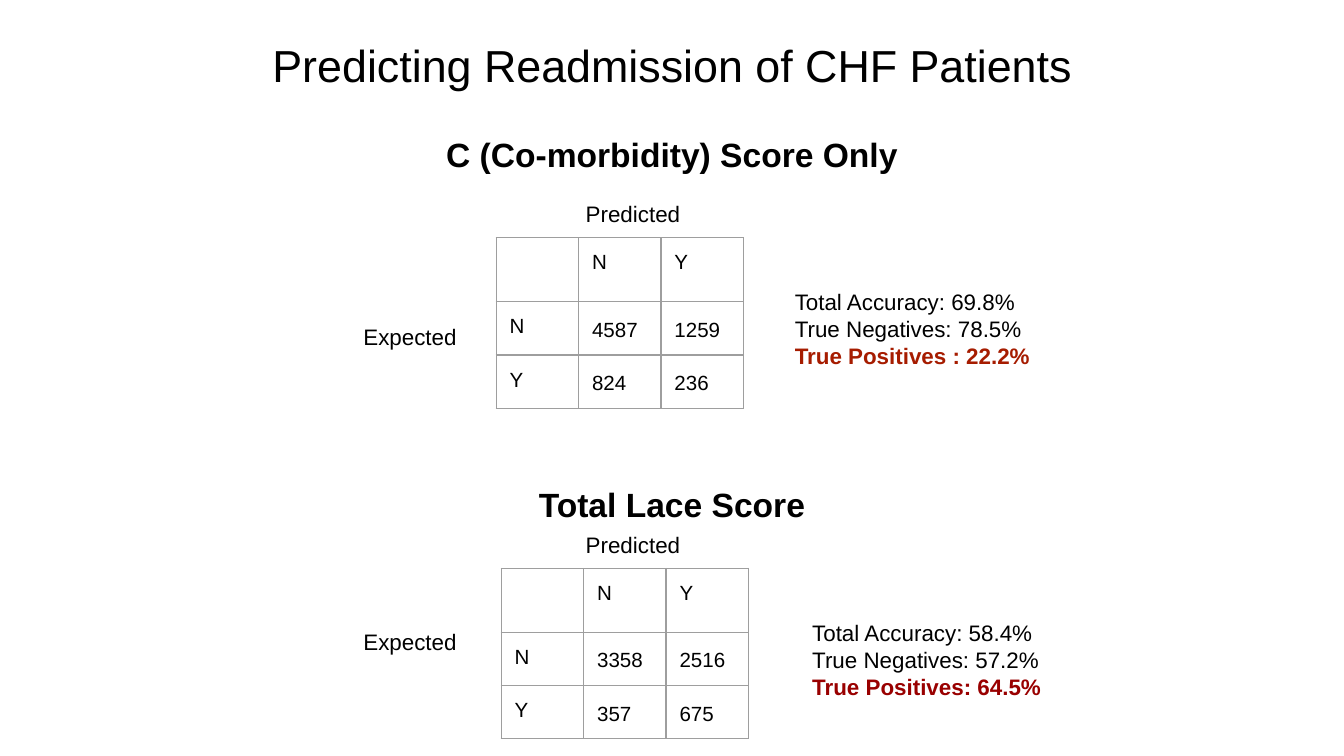
from dataclasses import dataclass

from lxml import etree
from pptx import Presentation
from pptx import util as u
from pptx.dml.color import RGBColor
from pptx.enum import text
from pptx.oxml.ns import qn


@dataclass(frozen=True)
class Theme:
    """Colours, type sizes and insets of the slide."""
    font: str = "Arial"
    ink: str = "000000"
    rule: str = "9E9E9E"
    title: int = 24
    heading: int = 18
    label: int = 12
    cell: int = 11
    inset: float = 0.1


@dataclass(frozen=True)
class Score:
    """One score's results and its places on the grid."""
    heading: str
    counts: tuple
    rates: tuple
    accent: str
    box: tuple
    table_at: tuple
    expected_row: float
    rates_column: float


THEME = Theme()
WIDTH = 10
HEIGHT = WIDTH * 9 / 16
COLUMN = ROW = WIDTH / 100
SCORES = (
    Score("C (Co-morbidity) Score Only", ((4587, 1259), (824, 236)),
          ("Total Accuracy: 69.8%", "True Negatives: 78.5%", "True Positives : 22.2%"),
          "A61C00", (3.4, 9, 93.2, 21.4), (33.52, 8.7), 14.05, 54.75),
    Score("Total Lace Score", ((3358, 2516), (357, 675)),
          ("Total Accuracy: 58.4%", "True Negatives: 57.2%", "True Positives: 64.5%"),
          "990000", (3.4, 35, 93.2, 20), (33.9, 7.3), 10.7, 56.05),
)


def apply(target, values):
    """Set each attribute named in values."""
    for name, value in values.items():
        setattr(target, name, value)


def grid(*cells):
    """Turn grid columns and rows into lengths."""
    return [u.Inches(cell * COLUMN) for cell in cells]


def write(para, words, size, colour=THEME.ink, bold=False):
    """Write one formatted span into a paragraph."""
    span = para.add_run()
    span.text = words
    apply(span.font, {"name": THEME.font, "size": u.Pt(size), "bold": bold})
    span.font.color.rgb = RGBColor.from_string(colour)


def set_margins(target):
    """Give a frame or cell equal insets."""
    sides = ("left", "top", "right", "bottom")
    apply(target, {f"margin_{side}": u.Inches(THEME.inset) for side in sides})


def format_frame(frame):
    """Set the insets, wrapping and anchor of a text frame."""
    set_margins(frame)
    apply(frame, {"word_wrap": True, "auto_size": text.MSO_AUTO_SIZE.NONE,
                  "vertical_anchor": text.MSO_ANCHOR.TOP})


def add_text(page, place, lines, size, align=text.PP_ALIGN.LEFT):
    """Add a text box of (words, format) lines."""
    frame = page.shapes.add_textbox(*grid(*place)).text_frame
    format_frame(frame)
    for index, (words, look) in enumerate(lines):
        para = frame.add_paragraph() if index else frame.paragraphs[0]
        para.alignment = align
        write(para, words, size, **look)


def draw_borders(cell):
    """Rule all four sides of a cell."""
    properties = cell._tc.get_or_add_tcPr()
    for index, side in enumerate(("lnL", "lnR", "lnT", "lnB")):
        line = etree.Element(qn(f"a:{side}"), w=str(u.Pt(0.75)))
        fill = etree.SubElement(line, qn("a:solidFill"))
        etree.SubElement(fill, qn("a:srgbClr"), val=THEME.rule)
        properties.insert(index, line)


def add_matrix(page, left, top, counts):
    """Add a confusion matrix at a grid point."""
    rows = [("", "N", "Y")] + [(name, *values) for name, values in zip("NY", counts)]
    heights = (4.76, 3.95, 3.95)
    table = page.shapes.add_table(3, 3, *grid(left, top, 18.4, sum(heights))).table
    apply(table, {"first_row": False, "horz_banding": False})
    for column in table.columns:
        column.width = u.Inches(6.13 * COLUMN)
    for r, values in enumerate(rows):
        table.rows[r].height = u.Inches(heights[r] * ROW)
        for c, value in enumerate(values):
            cell = table.cell(r, c)
            set_margins(cell)
            cell.fill.background()
            draw_borders(cell)
            para = cell.text_frame.paragraphs[0]
            if r and c:
                para.line_spacing = 1.15
            if value != "":
                write(para, str(value), THEME.cell)
            else:
                etree.SubElement(para._p, qn("a:endParaRPr"), sz=str(THEME.cell * 100))


def add_title(page, box, words):
    """Place and format the title."""
    title = page.shapes.title
    apply(title, dict(zip(("left", "top", "width", "height"), grid(*box))))
    format_frame(title.text_frame)
    para = title.text_frame.paragraphs[0]
    para.alignment = text.PP_ALIGN.CENTER
    write(para, words, THEME.title)


def add_score(page, box, score):
    """Place a score's heading, matrix, labels and rates in a box."""
    left, top, width, _ = box
    table_left, table_top = left + score.table_at[0], top + score.table_at[1]
    add_text(page, (left, top, width, 4.9), [(score.heading, {"bold": True})],
             THEME.heading, text.PP_ALIGN.CENTER)
    add_matrix(page, table_left, table_top, score.counts)
    add_text(page, (left + 39.2, table_top - 3.8, 10.4, 3.8), [("Predicted", {})], THEME.label)
    add_text(page, (left + 22.65, top + score.expected_row, 9.1, 3.8),
             [("Expected", {})], THEME.label)
    looks = ({}, {}, {"colour": score.accent, "bold": True})
    add_text(page, (left + score.rates_column, table_top + 2.75, 22.9, 7.9),
             zip(score.rates, looks), THEME.label)


def main():
    """Build and save the deck."""
    deck = Presentation()
    apply(deck, {"slide_width": u.Inches(WIDTH), "slide_height": u.Inches(HEIGHT)})
    page = deck.slides.add_slide(deck.slide_layouts.get_by_name("Title Only"))
    add_title(page, (3.4, 1.8, 93.2, 5.9), "Predicting Readmission of CHF Patients")
    for score in SCORES:
        add_score(page, score.box, score)
    deck.save("out.pptx")


if __name__ == "__main__":
    main()
